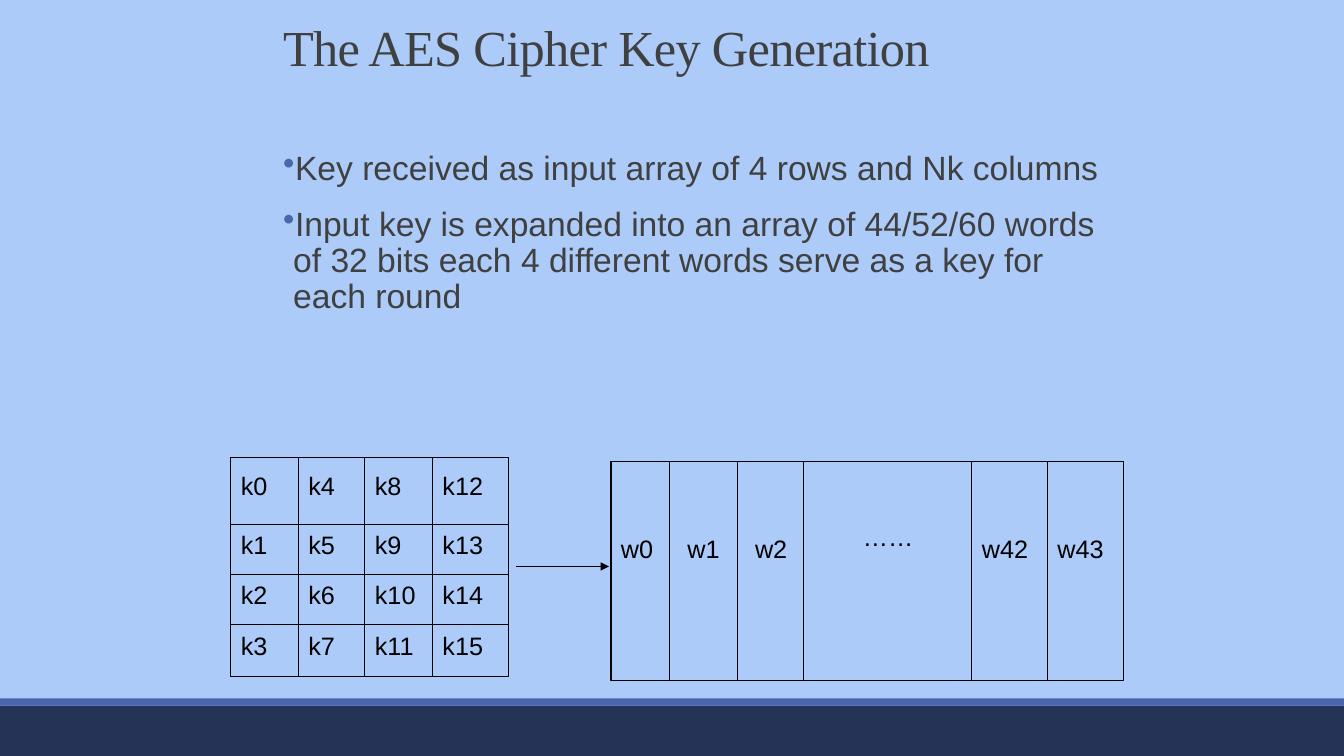
import pptx
import pptx.util
import pptx.dml.color
import pptx.enum.shapes
from lxml import etree

Inches, Pt = pptx.util.Inches, pptx.util.Pt
RGB = pptx.dml.color.RGBColor
KIND = pptx.enum.shapes.MSO_SHAPE.RECTANGLE
LINE = pptx.enum.shapes.MSO_CONNECTOR.STRAIGHT

# Content
TITLE = "The AES Cipher Key Generation"
POINTS = [
    "Key received as input array of 4 rows and Nk columns",
    "Input key is expanded into an array of 44/52/60 words of 32 bits each "
    "4 different words serve as a key for each round",
]
# Each word: text, left, top
WORDS = [("w0", 6.06, 5.24), ("w1", 6.72, 5.24), ("w2", 7.39, 5.24),
         ("……", 8.46, 5.12), ("w42", 9.64, 5.24), ("w43", 10.39, 5.24)]

# Colours
SKY = RGB(0xAC, 0xCB, 0xF9)
NAVY = RGB(0x25, 0x33, 0x56)
BLUE = RGB(0x4A, 0x66, 0xAC)
GREY = RGB(0x40, 0x40, 0x40)
BLACK = RGB(0, 0, 0)

# Text formats
HEAD = {"name": "Times New Roman", "size": Pt(36)}
BODY = {"name": "Arial", "size": Pt(24)}
LABEL = {"name": "Arial", "size": Pt(18)}

# Grid edges
KEY_X = [2.29, 2.96, 3.62, 4.29, 5.04]
KEY_Y = [4.54, 5.2, 5.7, 6.2, 6.71]
KEY_TOP = [4.62] + KEY_Y[1:4]
WORD_X = [6.06, 6.64, 7.31, 7.97, 9.64, 10.39, 11.14]
WORD_Y = [4.58, 6.75]

deck = pptx.Presentation()
deck.slide_width, deck.slide_height = Inches(13.33), Inches(7.5)
slide = deck.slides.add_slide(deck.slide_layouts[6])
slide.background.fill.solid()
slide.background.fill.fore_color.rgb = SKY


def add_sub(node, tag, **attrs):
    name = pptx.oxml.ns.qn(tag)
    return etree.SubElement(node, name, attrs)


def add_rect(x, y, w, h, fill=None):
    box = slide.shapes.add_shape(KIND, *map(Inches, (x, y, w, h)))
    box.shadow.inherit = False
    if fill is None:
        box.fill.background()
        box.line.color.rgb = BLACK
        box.line.width = Pt(0.75)
    else:
        box.fill.solid()
        box.fill.fore_color.rgb = fill
        box.line.fill.background()


def add_line(x1, y1, x2, y2, arrow=False):
    line = slide.shapes.add_connector(LINE, *map(Inches, (x1, y1, x2, y2)))
    line.line.color.rgb = BLACK
    line.line.width = Pt(0.75)
    if arrow:
        add_sub(line.line._get_or_add_ln(), "a:tailEnd", type="triangle")
    add_sub(line._element.spPr, "a:effectLst")


def add_text(x, y, w, h, texts, font, color, **para):
    frame = slide.shapes.add_textbox(*map(Inches, (x, y, w, h))).text_frame
    frame.word_wrap = True
    for i, text in enumerate(texts):
        item = frame.add_paragraph() if i else frame.paragraphs[0]
        run = item.add_run()
        run.text = text
        run.font.color.rgb = color
        for key, val in font.items():
            setattr(run.font, key, val)
        for key, val in para.items():
            setattr(item, key, val)
    return frame


def add_grid(xs, ys):
    add_rect(xs[0], ys[0], xs[-1] - xs[0], ys[-1] - ys[0])
    for x in xs[1:-1]:
        add_line(x, ys[0], x, ys[-1])
    for y in ys[1:-1]:
        add_line(xs[0], y, xs[-1], y)


# Footer bars
add_rect(0, 7, 13.33, 0.5, NAVY)
add_rect(0, 6.93, 13.33, 0.07, BLUE)

# Title
head = add_text(2.71, 0.2, 8.5, 1.25, [TITLE], HEAD, GREY, line_spacing=0.85)
head.paragraphs[0].runs[0].font._element.set("spc", "-50")

# Bullet points
body = add_text(2.71, 1.45, 8.5, 2.4, POINTS, BODY, GREY, line_spacing=0.9,
                space_before=Pt(12), space_after=Pt(2))
for item in body.paragraphs:
    props = item._p.get_or_add_pPr()
    props.set("marL", str(Inches(0.1)))
    props.set("indent", str(Inches(-0.1)))
    add_sub(add_sub(props, "a:buClr"), "a:srgbClr", val=str(BLUE))
    add_sub(props, "a:buChar", char="•")

# Key array, numbered down the columns
add_grid(KEY_X, KEY_Y)
for col, x in enumerate(KEY_X[:-1]):
    for row, y in enumerate(KEY_TOP):
        add_text(x, y, 0.75, 0.5, [f"k{4 * col + row}"], LABEL, BLACK)

# Expanded words
add_grid(WORD_X, WORD_Y)
for text, x, y in WORDS:
    add_text(x, y, 0.87, 0.5, [text], LABEL, BLACK)

# Arrow from key to words
add_line(5.12, 5.62, 6.04, 5.62, arrow=True)

deck.save("out.pptx")
